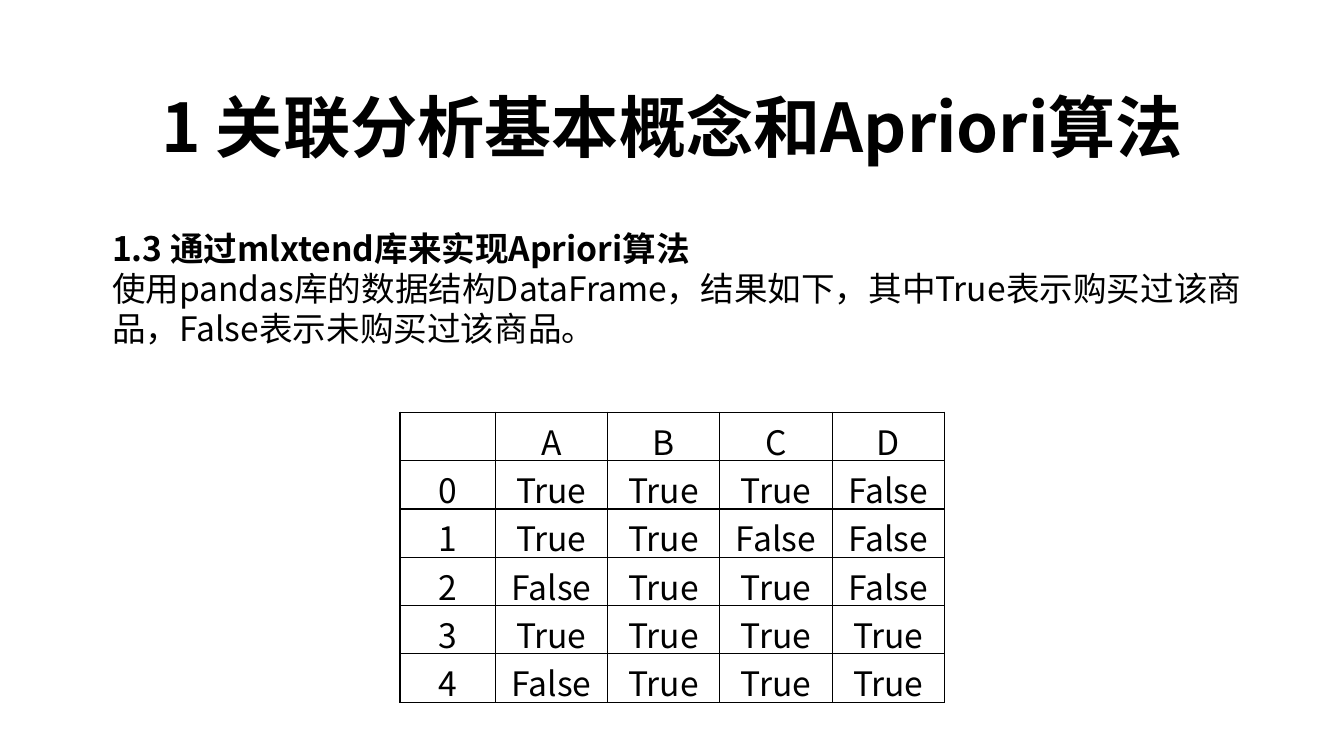
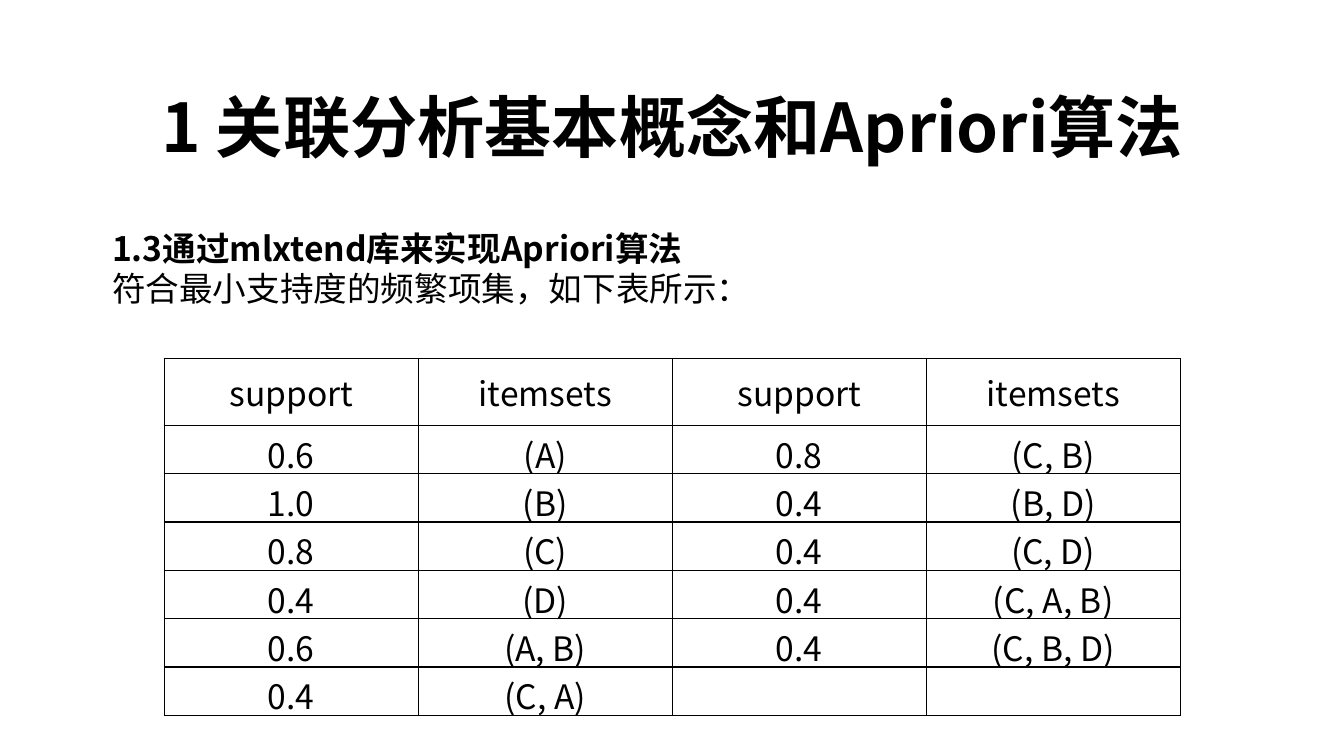
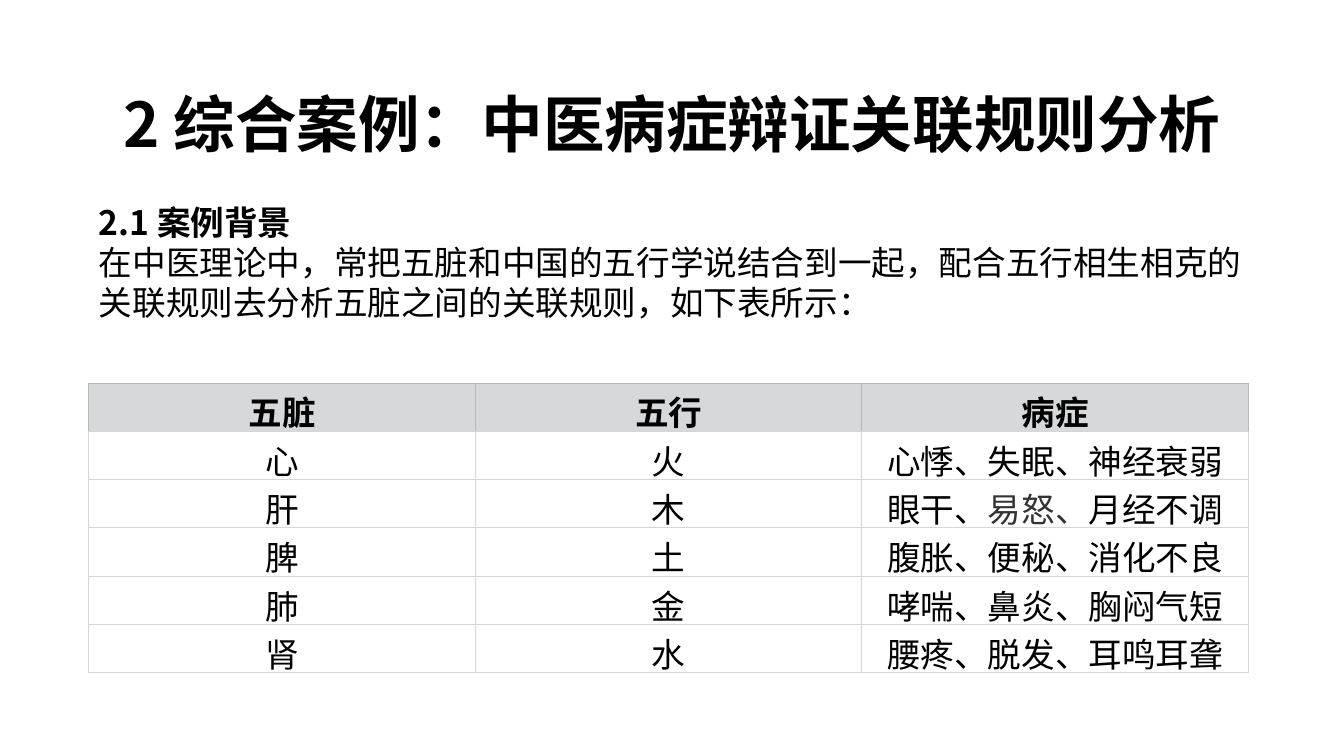
from lxml import etree
from pptx import Presentation
from pptx import util as u
from pptx.dml.color import RGBColor
from pptx.enum import text
from pptx.oxml.ns import qn

BLACK = RGBColor(0x00, 0x00, 0x00)
WHITE = RGBColor(0xFF, 0xFF, 0xFF)
DARK_GREY = RGBColor(0x33, 0x33, 0x33)
HEADER_GREY = RGBColor(0xD7, 0xD8, 0xD9)
HEADER_EDGE = RGBColor(0xB7, 0xB8, 0xB8)
GRID_GREY = RGBColor(0xD6, 0xD6, 0xD6)

APRIORI = "1 关联分析基本概念和Apriori算法"


class Deck:
    font_name = "Noto Sans CJK SC"
    body_size = 24

    def __init__(self):
        self.prs = Presentation()
        self.prs.slide_width = u.Cm(33.87)
        self.prs.slide_height = u.Cm(19.05)
        self.slide = None

    def new_slide(self):
        layout = self.prs.slide_layouts[1]
        self.slide = self.prs.slides.add_slide(layout)

    def style(self, paragraph, size, bold=False):
        font = paragraph.font
        font.size = u.Pt(size)
        font.bold = bold
        font.name = self.font_name
        font.color.rgb = BLACK
        east_asian = etree.SubElement(font._element.find(qn("a:defRPr"))
                                      if font._element.tag == qn("a:pPr")
                                      else font._element, qn("a:ea"))
        east_asian.set("typeface", self.font_name)

    def place(self, holder, left, top, width, height):
        holder.left, holder.top = u.Cm(left), u.Cm(top)
        holder.width, holder.height = u.Cm(width), u.Cm(height)
        frame = holder.text_frame
        frame.word_wrap = True
        frame.auto_size = text.MSO_AUTO_SIZE.SHAPE_TO_FIT_TEXT
        frame.vertical_anchor = text.MSO_ANCHOR.TOP
        return frame

    def title(self, heading, left=1.9, width=30.07, height=2.31, size=48):
        frame = self.place(self.slide.shapes.title, left, 2.03, width, height)
        frame.text = heading
        paragraph = frame.paragraphs[0]
        paragraph.alignment = text.PP_ALIGN.CENTER
        self.style(paragraph, size, bold=True)

    def body(self, section, explanation, left=2.57, top=5.61, height=3.33):
        frame = self.place(self.slide.placeholders[1], left, top, 29.39, height)
        frame.text = f"{section}\n{explanation}"
        for paragraph, bold in zip(frame.paragraphs, (True, False)):
            paragraph.space_before = u.Pt(0)
            properties = paragraph._p.get_or_add_pPr()
            properties.set("marL", "0")
            properties.set("indent", "0")
            etree.SubElement(properties, qn("a:buNone"))
            self.style(paragraph, self.body_size, bold)

    def border(self, cell, width, colors):
        properties = cell._tc.get_or_add_tcPr()
        for position, (side, color) in enumerate(zip("LRTB", colors)):
            line = etree.Element(qn(f"a:ln{side}"), w=str(u.Pt(width)))
            fill = etree.SubElement(line, qn("a:solidFill"))
            etree.SubElement(fill, qn("a:srgbClr"), val=str(color))
            properties.insert(position, line)

    def cell(self, cell, content, anchor, fill, bold):
        cell.margin_left = cell.margin_right = 0
        cell.margin_top = cell.margin_bottom = u.Cm(0.1)
        cell.vertical_anchor = anchor
        cell.fill.solid()
        cell.fill.fore_color.rgb = fill
        paragraph = cell.text_frame.paragraphs[0]
        paragraph.alignment = text.PP_ALIGN.CENTER
        self.style(paragraph, self.body_size, bold)
        parts = [(content, None)] if isinstance(content, str) else content
        for words, color in parts:
            if words:
                run = paragraph.add_run()
                run.text = words
                if color is not None:
                    run.font.color.rgb = color

    def table(self, rows, left, top, columns, first_height, row_height,
              anchor=text.MSO_ANCHOR.MIDDLE, grid=BLACK, line=1, shaded=False):
        heights = [first_height] + [row_height] * (len(rows) - 1)
        table = self.slide.shapes.add_table(
            len(rows), len(columns), u.Cm(left), u.Cm(top),
            u.Cm(sum(columns)), u.Cm(sum(heights))).table
        table.first_row = table.horz_banding = False
        for column, width in zip(table.columns, columns):
            column.width = u.Cm(width)
        for r, (values, height) in enumerate(zip(rows, heights)):
            table.rows[r].height = u.Cm(height)
            header = shaded and r == 0
            edges = [HEADER_EDGE] * 3 + [grid] if header else [grid] * 4
            for c, content in enumerate(values):
                cell = table.cell(r, c)
                self.cell(cell, content, anchor,
                          HEADER_GREY if header else WHITE, header)
                self.border(cell, line, edges)


def purchases(deck):
    deck.new_slide()
    deck.title(APRIORI)
    deck.body("1.3 通过mlxtend库来实现Apriori算法",
              "使用pandas库的数据结构DataFrame，结果如下，其中True表示购买过该商品，"
              "False表示未购买过该商品。")
    baskets = ["ABC", "AB", "BC", "ABCD", "BCD"]
    rows = [["", *"ABCD"]]
    rows += [[str(number), *(str(item in basket) for item in "ABCD")]
             for number, basket in enumerate(baskets)]
    deck.table(rows, 10.08, 10.39, [2.4] + [2.83] * 4, 0.79, 0.79)


def frequent_itemsets(deck):
    deck.new_slide()
    deck.title(APRIORI)
    deck.body("1.3通过mlxtend库来实现Apriori算法",
              "符合最小支持度的频繁项集，如下表所示：", height=2.31)
    rows = [
        ["support", "itemsets", "support", "itemsets"],
        ["0.6", "(A)", "0.8", "(C, B)"],
        ["1.0", "(B)", "0.4", "(B, D)"],
        ["0.8", "(C)", "0.4", "(C, D)"],
        ["0.4", "(D)", "0.4", "(C, A, B)"],
        ["0.6", "(A, B)", "0.4", "(C, B, D)"],
        ["0.4", "(C, A)", "", ""],
    ]
    deck.table(rows, 4.14, 9.04, [6.4] * 4, 1.68, 0.94)


def case_background(deck):
    deck.new_slide()
    deck.title("2 综合案例：中医病症辩证关联规则分析",
               left=1.35, width=31.19, height=2.13, size=44)
    deck.body("2.1 案例背景",
              "在中医理论中，常把五脏和中国的五行学说结合到一起，配合五行相生相克的"
              "关联规则去分析五脏之间的关联规则，如下表所示：", left=2.24, top=4.95)
    liver = [("眼干、", None), ("易怒、", DARK_GREY), ("月经不调", None)]
    rows = [
        ["五脏", "五行", "病症"],
        ["心", "火", "心悸、失眠、神经衰弱"],
        ["肝", "木", liver],
        ["脾", "土", "腹胀、便秘、消化不良"],
        ["肺", "金", "哮喘、鼻炎、胸闷气短"],
        ["肾", "水", "腰疼、脱发、耳鸣耳聋"],
    ]
    deck.table(rows, 2.24, 9.65, [9.74] * 3, 0.64, 0.79,
               anchor=text.MSO_ANCHOR.TOP, grid=GRID_GREY, line=0.75, shaded=True)


def main():
    deck = Deck()
    purchases(deck)
    frequent_itemsets(deck)
    case_background(deck)
    deck.prs.save("out.pptx")


if __name__ == "__main__":
    main()
